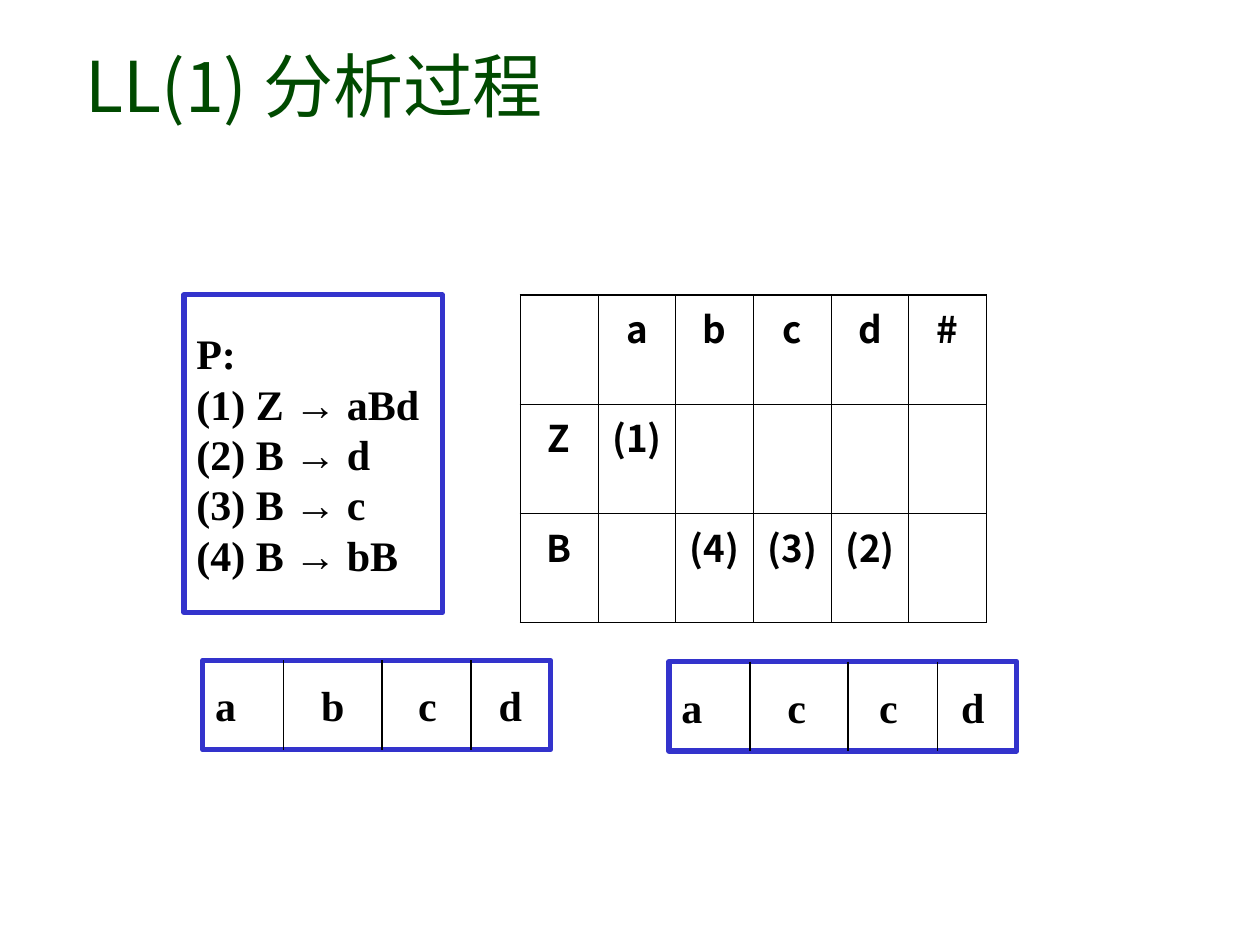
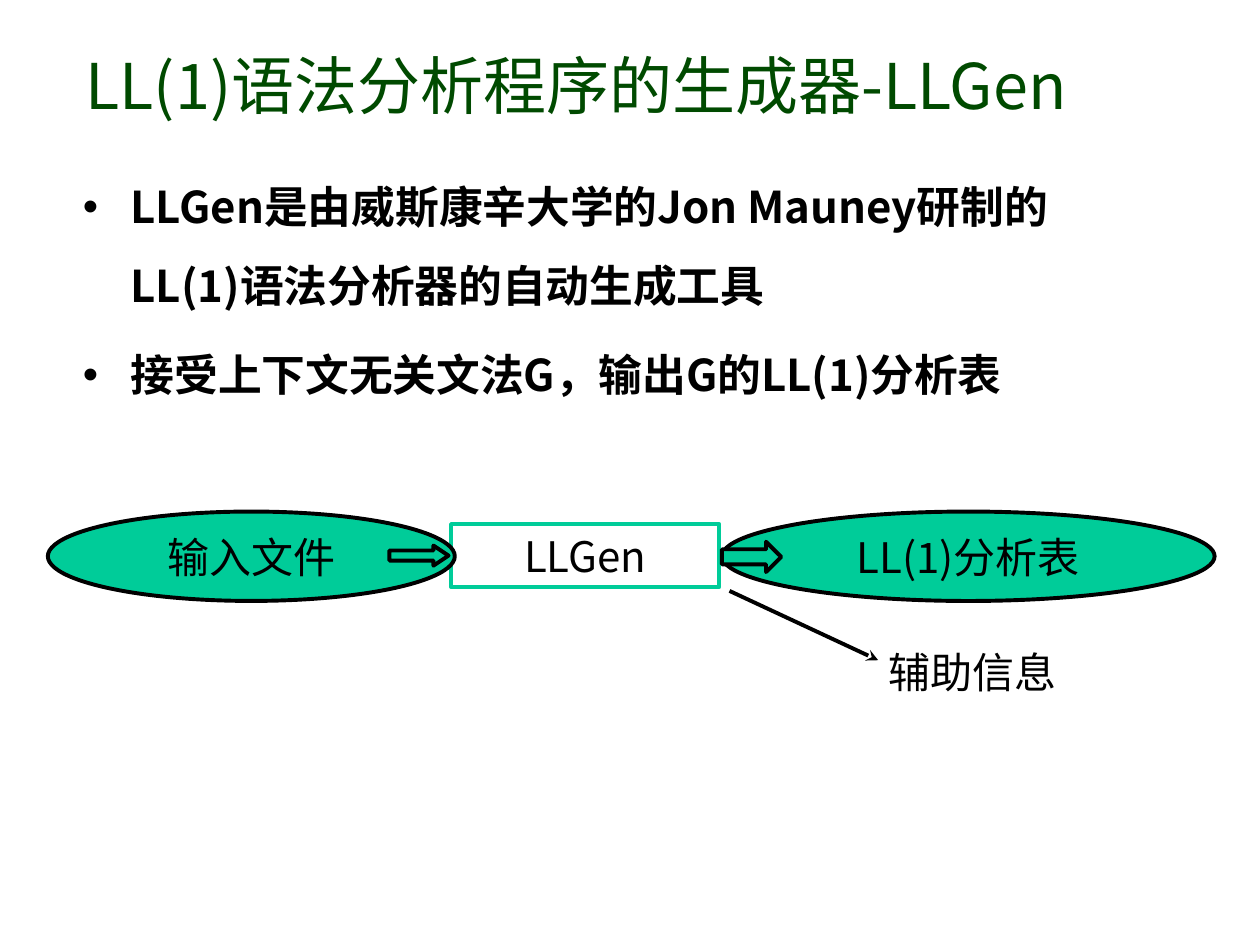
from typing import NamedTuple, Optional

from lxml.etree import SubElement
from pptx import Presentation
from pptx.dml.color import RGBColor
from pptx.enum.shapes import MSO_CONNECTOR as Conn, MSO_SHAPE as Shp
from pptx.enum.text import MSO_ANCHOR as Anchor, PP_ALIGN as Align
from pptx.oxml.ns import qn
from pptx.util import Inches, Pt

WIDTH, HEIGHT = Inches(10), Inches(7.5)
COL, ROW = WIDTH / 100, HEIGHT / 75

COLORS = {
    "title": "004A00",
    "text": "000000",
    "frame": "3333CC",
    "green": "00CC99",
}
SANS_KR, SANS_SC = "Noto Sans CJK KR", "Noto Sans CJK SC"
SERIF, ARROW_FONT = "Times New Roman", "Arial"
THIN, THICK = 0.45, 1.08


class Box(NamedTuple):
    col: float
    row: float
    cols: float
    rows: float

    def emu(self) -> tuple[int, ...]:
        return (round(self.col * COL), round(self.row * ROW),
                round(self.cols * COL), round(self.rows * ROW))


class Strip(NamedTuple):
    box: Box
    symbols: str
    stops: tuple[float, ...]


class Node(NamedTuple):
    box: Box
    kind: Shp
    text: str = ""
    line: str = "text"
    fill: Optional[str] = "green"
    adj: tuple[float, ...] = ()


TITLE = Box(5.8, 1.7, 84.9, 10)
DIVIDERS = (6.4, 14.2, 21.3)
RULES = ["P:", "(1) Z → aBd", "(2) B → d", "(3) B → c", "(4) B → bB"]
LL_TABLE = [
    ["", "a", "b", "c", "d", "#"],
    ["Z", "(1)", "", "", "", ""],
    ["B", "", "(4)", "(3)", "(2)", ""],
]
STRIPS = [
    Strip(Box(16.1, 52.4, 27.6, 7.1), "abcd", (8.4, 16.1, 22.5)),
    Strip(Box(53.1, 52.5, 27.6, 7.1), "accd", (8.4, 15.7, 22.2)),
]
FEATURES = [
    "LLGen是由威斯康辛大学的Jon Mauney研制的LL(1)语法分析器的自动生成工具",
    "接受上下文无关文法G，输出G的LL(1)分析表",
]
NODES = [
    Node(Box(35.8, 41.6, 21.3, 5), Shp.RECTANGLE, "LLGen", "green", None),
    Node(Box(3.8, 40.6, 32.3, 7.1), Shp.OVAL, "输入文件"),
    Node(Box(57.3, 40.6, 39.1, 7.1), Shp.OVAL, "LL(1)分析表"),
    Node(Box(30.9, 43.3, 4.7, 1.6), Shp.RIGHT_ARROW, adj=(0.5, 0.75)),
    Node(Box(57.3, 43, 4.7, 2.4), Shp.RIGHT_ARROW, adj=(0.5, 0.5)),
]


def rgb(name: str) -> RGBColor:
    return RGBColor.from_string(COLORS[name])


def write(tf, lines, *, size=24, font=SANS_SC, color="text", bold=False,
          align=Align.LEFT, anchor=Anchor.MIDDLE, bullet=False, stops=(),
          spacing=None, before=0) -> None:
    tf.word_wrap = True
    tf.vertical_anchor = anchor
    for i, line in enumerate(lines):
        p = tf.add_paragraph() if i else tf.paragraphs[0]
        p.alignment = align
        if spacing:
            p.line_spacing = spacing
        if i and before:
            p.space_before = Pt(before)
        ppr = p._p.get_or_add_pPr()
        if bullet:
            indent = round(3.8 * COL)
            ppr.set("marL", str(indent))
            ppr.set("indent", str(-indent))
            SubElement(ppr, qn("a:buFont"), typeface=ARROW_FONT)
            SubElement(ppr, qn("a:buChar"), char="•")
        if stops:
            tabs = SubElement(ppr, qn("a:tabLst"))
            for stop in stops:
                SubElement(tabs, qn("a:tab"), pos=str(round(stop * COL)), algn="l")
        for part in filter(None, line.partition("→")):
            r = p.add_run()
            r.text = part
            face = ARROW_FONT if part == "→" else font
            r.font.size, r.font.bold, r.font.name = Pt(size), bold, face
            r.font.color.rgb = rgb(color)
            SubElement(r._r.get_or_add_rPr(), qn("a:ea"), typeface=face)


def add_text(s, box: Box, lines: list[str], **fmt) -> None:
    write(s.shapes.add_textbox(*box.emu()).text_frame, lines, **fmt)


def add_box(s, box: Box, kind: Shp, line: str, weight: float, fill: Optional[str] = None):
    sp = s.shapes.add_shape(kind, *box.emu())
    sp.shadow.inherit = False
    sp.line.color.rgb = rgb(line)
    sp.line.width = Pt(weight)
    if fill:
        sp.fill.solid()
        sp.fill.fore_color.rgb = rgb(fill)
    else:
        sp.fill.background()
    return sp


def add_line(s, x1: float, y1: float, x2: float, y2: float, weight: float,
             head: Optional[str] = None) -> None:
    cx = s.shapes.add_connector(Conn.STRAIGHT, round(x1 * COL), round(y1 * ROW),
                                round(x2 * COL), round(y2 * ROW))
    cx.line.color.rgb = rgb("text")
    cx.line.width = Pt(weight)
    sppr = cx._element.spPr
    if head:
        SubElement(sppr.find(qn("a:ln")), qn("a:tailEnd"), type=head)
    SubElement(sppr, qn("a:effectLst"))


def set_borders(cell, weights: dict[str, float]) -> None:
    tcpr = cell._tc.get_or_add_tcPr()
    for side, weight in weights.items():
        ln = SubElement(tcpr, qn(f"a:ln{side}"), w=str(Pt(weight)))
        SubElement(SubElement(ln, qn("a:solidFill")), qn("a:srgbClr"), val=COLORS["text"])


def add_grid(s, box: Box, rows: list[list[str]]) -> None:
    n_rows, n_cols = len(rows), len(rows[0])
    table = s.shapes.add_table(n_rows, n_cols, *box.emu()).table
    table.first_row = table.horz_banding = False
    for column in table.columns:
        column.width = round(box.cols * COL / n_cols)
    for i, values in enumerate(rows):
        table.rows[i].height = round(box.rows * ROW / n_rows)
        for j, value in enumerate(values):
            cell = table.cell(i, j)
            edges = {"L": j == 0, "R": j == n_cols - 1, "T": i == 0, "B": i == n_rows - 1}
            set_borders(cell, {side: THICK if outer else THIN for side, outer in edges.items()})
            cell.fill.background()
            write(cell.text_frame, [value], size=21, font=SANS_KR, bold=True,
                  align=Align.CENTER, anchor=Anchor.TOP)


def add_strip(s, strip: Strip) -> None:
    box = strip.box
    sp = add_box(s, box, Shp.RECTANGLE, "frame", 3)
    write(sp.text_frame, ["\t".join(strip.symbols)], font=SERIF, bold=True, stops=strip.stops)
    for offset in DIVIDERS:
        x = box.col + offset
        add_line(s, x, box.row, x, box.row + box.rows, 1)


def add_node(s, node: Node) -> None:
    sp = add_box(s, node.box, node.kind, node.line, 2.25, node.fill)
    for i, value in enumerate(node.adj):
        sp.adjustments[i] = value
    if node.text:
        write(sp.text_frame, [node.text], align=Align.CENTER)


def new_slide(prs, title: str, size: int):
    s = prs.slides.add_slide(prs.slide_layouts[6])
    add_text(s, TITLE, [title], size=size, font=SANS_KR, color="title")
    return s


def build_process(prs) -> None:
    s = new_slide(prs, "LL(1) 分析过程", 40)
    rules = add_box(s, Box(14.6, 23.4, 20.5, 25.2), Shp.RECTANGLE, "frame", 3)
    write(rules.text_frame, RULES, font=SERIF, bold=True)
    add_grid(s, Box(41.3, 23.4, 37, 26), LL_TABLE)
    for strip in STRIPS:
        add_strip(s, strip)


def build_generator(prs) -> None:
    s = new_slide(prs, "LL(1)语法分析程序的生成器-LLGen", 36)
    add_text(s, Box(5.6, 11.7, 85, 51.7), FEATURES, size=25, font=SANS_KR, bold=True,
             anchor=Anchor.TOP, bullet=True, spacing=1.5, before=6.2)
    for node in NODES:
        add_node(s, node)
    add_text(s, Box(64.2, 50.8, 26, 5), ["辅助信息"], align=Align.CENTER)
    add_line(s, 57.9, 46.9, 69.7, 52.4, 2.25, "stealth")


def main() -> None:
    prs = Presentation()
    prs.slide_width, prs.slide_height = WIDTH, HEIGHT
    build_process(prs)
    build_generator(prs)
    prs.save("out.pptx")


if __name__ == "__main__":
    main()
